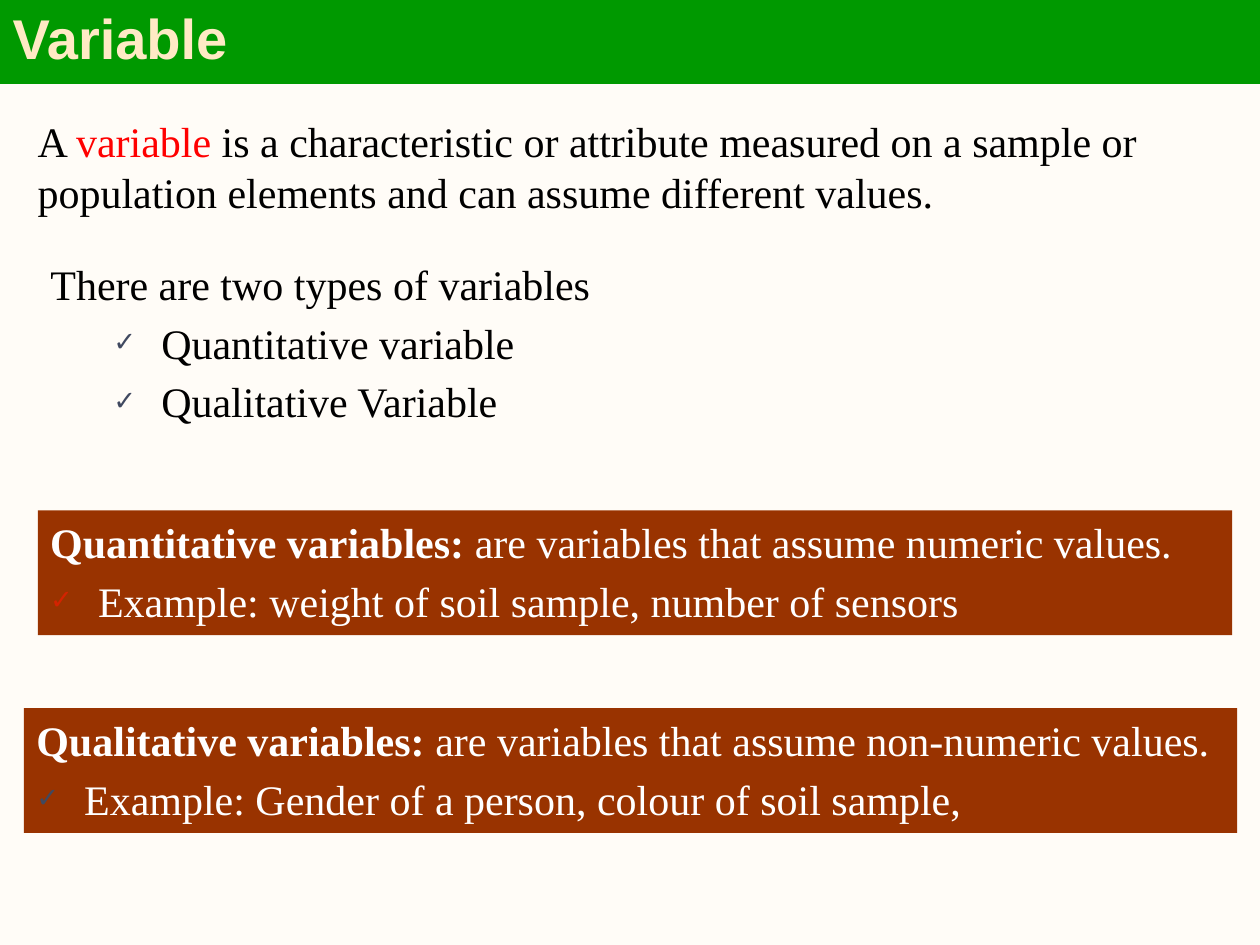
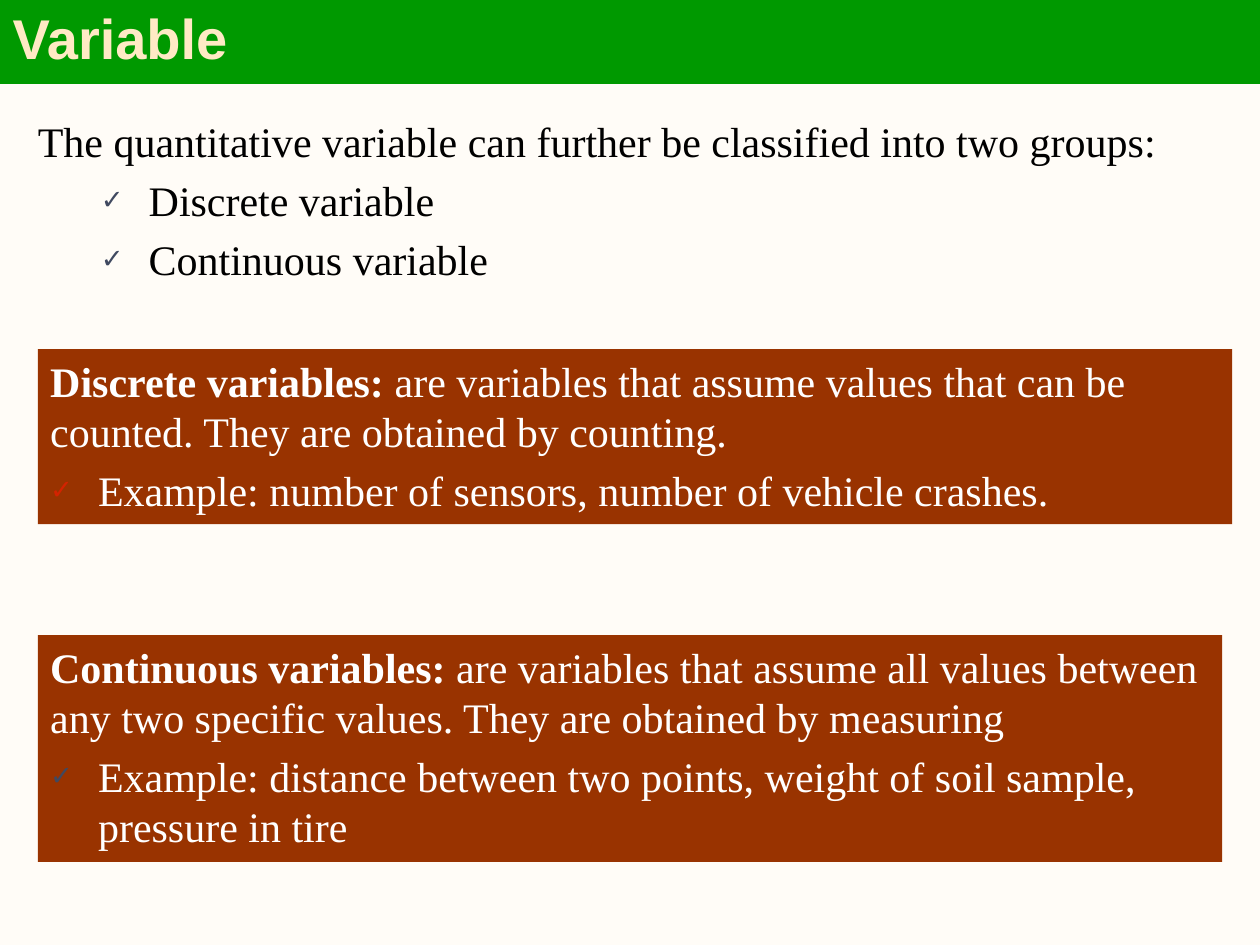
from lxml import etree
from pptx import Presentation
from pptx.dml.color import RGBColor
from pptx.enum import shapes, text
from pptx.oxml.ns import qn
from pptx.util import Inches, Pt

BACKGROUND, GREEN, CREAM = "FFFCF7", "009900", "FFEAC5"
BROWN, WHITE, BLACK, RED = "993300", "FFFFFF", "000000", "FF0000"
RED_TICK, SLATE_TICK = "D42300", "404960"
TITLE_FONT, BODY_FONT = "Arial", "Times New Roman"

# Content: places are (left, top, width, height) in inches
SLIDES = [
    {
        "title": "Variable",
        "intro": ((0.2, 0.87, 9.24, 0.91), [
            ("A ", BLACK), ("variable", RED),
            (" is a characteristic or attribute measured on a sample or "
             "population elements and can assume different values.", BLACK)]),
        "types": ((0.3, 2, 9.24, 1.47), "There are two types of variables",
                  ["Quantitative variable", "Qualitative Variable"]),
        "definitions": [
            ((0.3, 4.05, 9.48, 0.99), RED_TICK, "Quantitative variables: ",
             "are variables that assume numeric values.",
             "Example: weight of soil sample, number of sensors"),
            ((0.19, 5.62, 9.63, 0.99), SLATE_TICK, "Qualitative variables: ",
             "are variables that assume non-numeric values.",
             "Example: Gender of a person, colour of soil sample,"),
        ],
    },
    {
        "title": "Variable",
        "types": ((0.2, 0.87, 9.24, 1.47),
                  "The quantitative variable can further be classified into two groups:",
                  ["Discrete variable", "Continuous variable"]),
        "definitions": [
            ((0.3, 2.77, 9.48, 1.39), RED_TICK, "Discrete variables: ",
             "are variables that assume values that can be counted. "
             "They are obtained by counting.",
             "Example: number of sensors, number of vehicle crashes."),
            ((0.3, 5.04, 9.4, 1.8), SLATE_TICK, "Continuous variables: ",
             "are variables that assume all values between any two specific "
             "values. They are obtained by measuring",
             "Example: distance between two points, weight of soil sample, "
             "pressure in tire"),
        ],
    },
]


def rgb(color):
    return RGBColor.from_string(color)


def place(sp, box):
    sp.left, sp.top, sp.width, sp.height = (Inches(v) for v in box)


def fill(sp, color):
    sp.fill.solid()
    sp.fill.fore_color.rgb = rgb(color)


def add_run(p, words, color, bold=False, size=24, font=BODY_FONT):
    r = p.add_run()
    r.text = words
    r.font.name, r.font.size, r.font.bold = font, Pt(size), bold
    r.font.color.rgb = rgb(color)


def format_paragraph(p, left=0, tick=None, first=False):
    """Set indent, optional tick bullet, alignment and spacing."""
    pPr = p._p.get_or_add_pPr()
    pPr.set("marL", str(Inches(left)))
    pPr.set("indent", str(Inches(-0.38 if tick else 0)))
    if tick:
        color = etree.SubElement(pPr, qn("a:buClr"))
        etree.SubElement(color, qn("a:srgbClr"), val=tick)
        etree.SubElement(pPr, qn("a:buSzPct"), val="65000")
        etree.SubElement(pPr, qn("a:buFont"), typeface=TITLE_FONT)
        etree.SubElement(pPr, qn("a:buChar"), char="✓")
    else:
        etree.SubElement(pPr, qn("a:buNone"))
    p.alignment = text.PP_ALIGN.LEFT
    p.space_before = Pt(0 if first else 4.8)


def prepare(sp, anchor=text.MSO_ANCHOR.TOP):
    """Set up a text frame and return it with its first paragraph formatted."""
    tf = sp.text_frame
    tf.word_wrap = True
    tf.auto_size = text.MSO_AUTO_SIZE.NONE
    tf.vertical_anchor = anchor
    format_paragraph(tf.paragraphs[0], first=True)
    return tf


def add_title(s, words):
    sp = s.shapes.title
    place(sp, (0, 0, 10, 0.66))
    fill(sp, GREEN)
    sp.line.color.rgb = rgb(GREEN)
    sp.line.width = Pt(0.75)
    p = prepare(sp, text.MSO_ANCHOR.MIDDLE).paragraphs[0]
    p.line_spacing = 0.9
    add_run(p, words, CREAM, True, 32, TITLE_FONT)


def add_intro(s, box, runs):
    sp = s.shapes.add_textbox(*(Inches(v) for v in box))
    p = prepare(sp).paragraphs[0]
    for words, color in runs:
        add_run(p, words, color)


def add_types(s, box, lead, types):
    sp = s.placeholders[1]
    place(sp, box)
    tf = prepare(sp)
    add_run(tf.paragraphs[0], lead, BLACK)
    for name in types:
        p = tf.add_paragraph()
        p.level = 1
        format_paragraph(p, 0.88, SLATE_TICK)
        add_run(p, name, BLACK)


def add_definition(s, box, tick, term, meaning, example):
    sp = s.shapes.add_shape(shapes.MSO_SHAPE.RECTANGLE, *(Inches(v) for v in box))
    sp.shadow.inherit = False
    fill(sp, BROWN)
    sp.line.fill.background()
    tf = prepare(sp)
    add_run(tf.paragraphs[0], term, WHITE, True)
    add_run(tf.paragraphs[0], meaning, WHITE)
    p = tf.add_paragraph()
    format_paragraph(p, 0.38, tick)
    add_run(p, example, WHITE)


def main():
    prs = Presentation()
    prs.slide_width, prs.slide_height = Inches(10), Inches(7.5)
    fill(prs.slide_master.background, BACKGROUND)
    for content in SLIDES:
        s = prs.slides.add_slide(prs.slide_layouts[1])
        add_title(s, content["title"])
        if "intro" in content:
            add_intro(s, *content["intro"])
        add_types(s, *content["types"])
        for definition in content["definitions"]:
            add_definition(s, *definition)
    prs.save("out.pptx")


if __name__ == "__main__":
    main()
